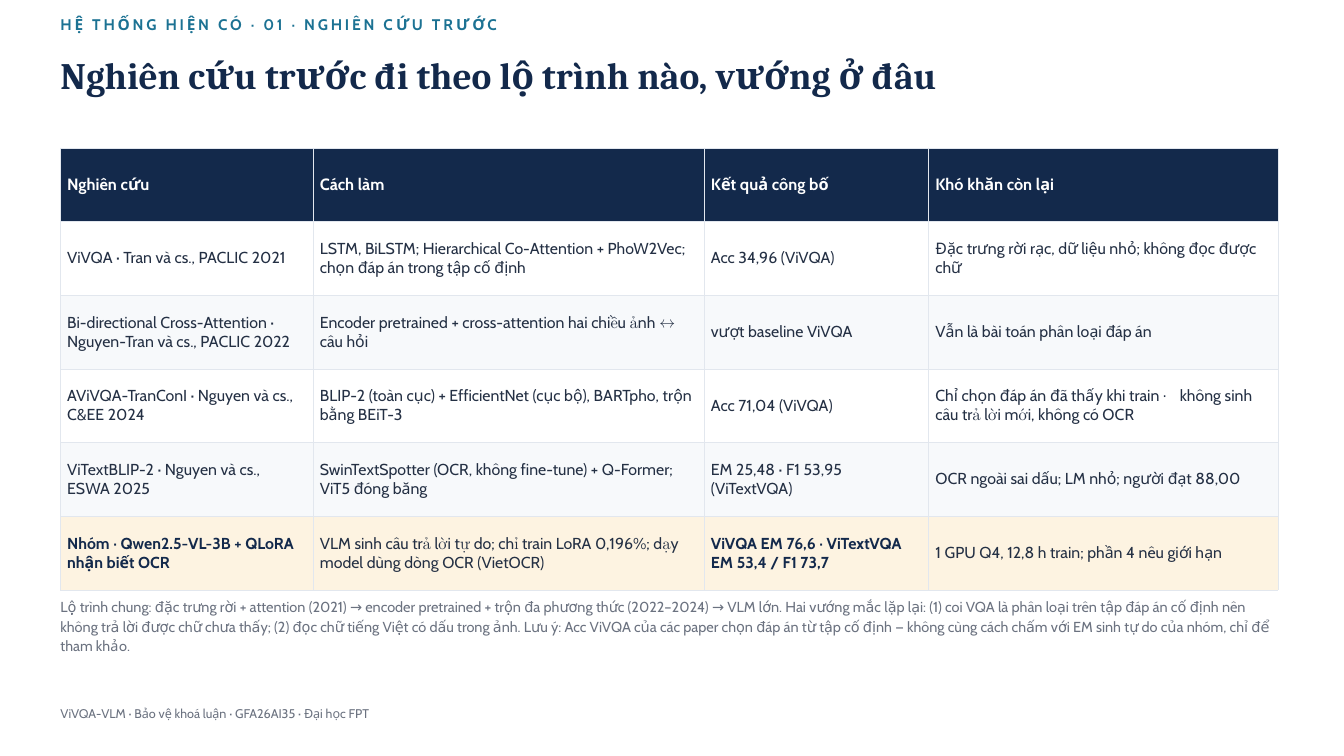
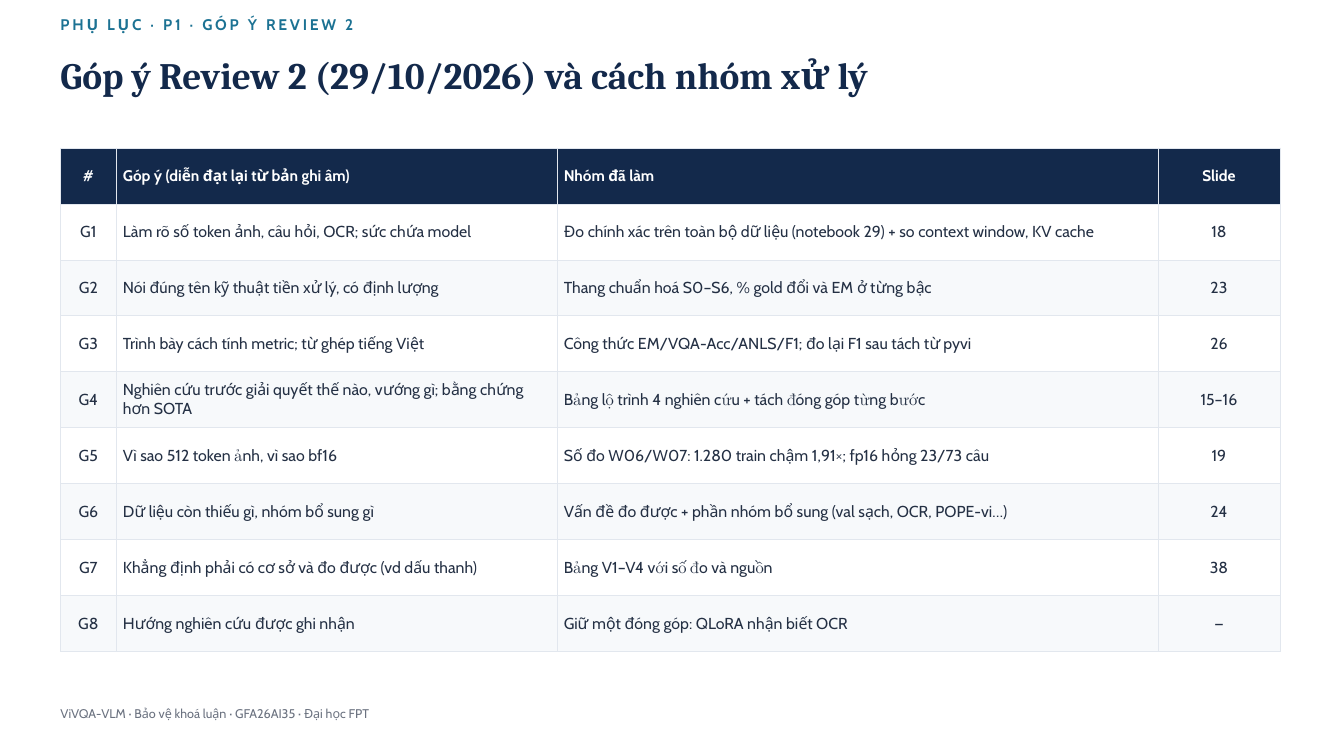
"""Builds two thesis-defence slides: prior work, and how the review comments were handled."""
from lxml import etree
from pptx import Presentation
from pptx.dml.color import RGBColor
from pptx.enum.text import MSO_ANCHOR, MSO_AUTO_SIZE, PP_ALIGN
from pptx.oxml.ns import qn
from pptx.util import Inches, Pt

MIDDLE = MSO_ANCHOR.MIDDLE
FIT_SHAPE = MSO_AUTO_SIZE.SHAPE_TO_FIT_TEXT
LEFT, CENTER = PP_ALIGN.LEFT, PP_ALIGN.CENTER

COLORS = {
    "navy": "13294B", "teal": "1C7293", "ink": "243044", "gray": "6B7280",
    "white": "FFFFFF", "stripe": "F7F9FB", "highlight": "FDF3E1", "border": "E2E7EE",
}
BODY_FONT, TITLE_FONT = "Cabin", "Cambria"
MARGIN, CONTENT_WIDTH, TABLE_TOP = 0.9, 18.2, 2.2
FOOTER = "ViVQA-VLM · Bảo vệ khoá luận · GFA26AI35 · Đại học FPT"

slides = [
    {
        "kicker": "HỆ THỐNG HIỆN CÓ · 01 · NGHIÊN CỨU TRƯỚC",
        "title": "Nghiên cứu trước đi theo lộ trình nào, vướng ở đâu",
        "columns": [3.76, 5.82, 3.34, 5.2],
        "height": 6.58,
        "header_size": 17.5,
        "header_spacing": 21,
        "centered": [],
        "highlight_row": 5,
        "bold_columns": [0, 2],
        "rows": [
            ["Nghiên cứu", "Cách làm", "Kết quả công bố", "Khó khăn còn lại"],
            ["ViVQA · Tran và cs., PACLIC 2021",
             "LSTM, BiLSTM; Hierarchical Co-Attention + PhoW2Vec; chọn đáp án trong tập cố định",
             "Acc 34,96 (ViVQA)",
             "Đặc trưng rời rạc, dữ liệu nhỏ; không đọc được chữ"],
            ["Bi-directional Cross-Attention · Nguyen-Tran và cs., PACLIC 2022",
             "Encoder pretrained + cross-attention hai chiều ảnh ↔ câu hỏi",
             "vượt baseline ViVQA",
             "Vẫn là bài toán phân loại đáp án"],
            ["AViVQA-TranConI · Nguyen và cs., C&EE 2024",
             "BLIP-2 (toàn cục) + EfficientNet (cục bộ), BARTpho, trộn bằng BEiT-3",
             "Acc 71,04 (ViVQA)",
             "Chỉ chọn đáp án đã thấy khi train → không sinh câu trả lời mới, không có OCR"],
            ["ViTextBLIP-2 · Nguyen và cs., ESWA 2025",
             "SwinTextSpotter (OCR, không fine-tune) + Q-Former; ViT5 đóng băng",
             "EM 25,48 · F1 53,95 (ViTextVQA)",
             "OCR ngoài sai dấu; LM nhỏ; người đạt 88,00"],
            ["Nhóm · Qwen2.5-VL-3B + QLoRA nhận biết OCR",
             "VLM sinh câu trả lời tự do; chỉ train LoRA 0,196%; dạy model dùng dòng OCR (VietOCR)",
             "ViVQA EM 76,6 · ViTextVQA EM 53,4 / F1 73,7",
             "1 GPU Q4, 12,8 h train; phần 4 nêu giới hạn"],
        ],
        "note": "Lộ trình chung: đặc trưng rời + attention (2021) → encoder pretrained + trộn đa "
                "phương thức (2022–2024) → VLM lớn. Hai vướng mắc lặp lại: (1) coi VQA là phân loại "
                "trên tập đáp án cố định nên không trả lời được chữ chưa thấy; (2) đọc chữ tiếng Việt "
                "có dấu trong ảnh. Lưu ý: Acc ViVQA của các paper chọn đáp án từ tập cố định — không "
                "cùng cách chấm với EM sinh tự do của nhóm, chỉ để tham khảo.",
    },
    {
        "kicker": "PHỤ LỤC · P1 · GÓP Ý REVIEW 2",
        "title": "Góp ý Review 2 (29/10/2026) và cách nhóm xử lý",
        "columns": [0.83, 6.56, 8.94, 1.82],
        "height": 7.5,
        "header_size": 16.5,
        "header_spacing": 19.8,
        "centered": [0, 3],
        "highlight_row": None,
        "bold_columns": [],
        "rows": [
            ["#", "Góp ý (diễn đạt lại từ bản ghi âm)", "Nhóm đã làm", "Slide"],
            ["G1", "Làm rõ số token ảnh, câu hỏi, OCR; sức chứa model",
             "Đo chính xác trên toàn bộ dữ liệu (notebook 29) + so context window, KV cache", "18"],
            ["G2", "Nói đúng tên kỹ thuật tiền xử lý, có định lượng",
             "Thang chuẩn hoá S0–S6, % gold đổi và EM ở từng bậc", "23"],
            ["G3", "Trình bày cách tính metric; từ ghép tiếng Việt",
             "Công thức EM/VQA-Acc/ANLS/F1; đo lại F1 sau tách từ pyvi", "26"],
            ["G4", "Nghiên cứu trước giải quyết thế nào, vướng gì; bằng chứng hơn SOTA",
             "Bảng lộ trình 4 nghiên cứu + tách đóng góp từng bước", "15–16"],
            ["G5", "Vì sao 512 token ảnh, vì sao bf16",
             "Số đo W06/W07: 1.280 train chậm 1,91×; fp16 hỏng 23/73 câu", "19"],
            ["G6", "Dữ liệu còn thiếu gì, nhóm bổ sung gì",
             "Vấn đề đo được + phần nhóm bổ sung (val sạch, OCR, POPE-vi…)", "24"],
            ["G7", "Khẳng định phải có cơ sở và đo được (vd dấu thanh)",
             "Bảng V1–V4 với số đo và nguồn", "38"],
            ["G8", "Hướng nghiên cứu được ghi nhận",
             "Giữ một đóng góp: QLoRA nhận biết OCR", "—"],
        ],
        "note": None,
    },
]


def write_text(frame, text, size, spacing, color, bold=False, font=BODY_FONT):
    """Fill a text frame with one styled paragraph and return that paragraph."""
    frame.text = text
    frame.word_wrap = True
    para = frame.paragraphs[0]
    para.line_spacing = Pt(spacing)
    span = para.runs[0]
    span.font.name = font
    span.font.size = Pt(size)
    span.font.bold = bold
    span.font.color.rgb = RGBColor.from_string(COLORS[color])
    return para


def add_label(page, top, width, height, text, *style, **options):
    """Add a text box without insets at the left margin and return its paragraph."""
    box = page.shapes.add_textbox(Inches(MARGIN), Inches(top), Inches(width), Inches(height))
    frame = box.text_frame
    frame.margin_left = frame.margin_right = frame.margin_top = frame.margin_bottom = 0
    para = write_text(frame, text, *style, **options)
    frame.auto_size = FIT_SHAPE
    return para


deck = Presentation()
deck.slide_width, deck.slide_height = Inches(20), Inches(11.25)

for content in slides:
    page = deck.slides.add_slide(deck.slide_layouts[6])
    page.background.fill.solid()
    page.background.fill.fore_color.rgb = RGBColor.from_string(COLORS["white"])

    kicker = add_label(page, 0.23, CONTENT_WIDTH, 0.7, content["kicker"], 16.5, 19.8, "teal", bold=True)
    kicker.runs[0].font._element.set("spc", "300")
    add_label(page, 0.64, CONTENT_WIDTH, 1.34, content["title"], 40, 57.6, "navy", bold=True, font=TITLE_FONT)

    rows, columns = content["rows"], content["columns"]
    table = page.shapes.add_table(
        len(rows), len(columns), Inches(MARGIN), Inches(TABLE_TOP),
        Inches(sum(columns)), Inches(content["height"])).table
    for column, width in zip(table.columns, columns):
        column.width = Inches(width)

    for row_index, row in enumerate(rows):
        table.rows[row_index].height = Inches(content["height"] / len(rows))
        highlighted = row_index == content["highlight_row"]
        if row_index == 0:
            fill = "navy"
        elif highlighted:
            fill = "highlight"
        else:
            fill = "white" if row_index % 2 else "stripe"

        for column_index, text in enumerate(row):
            cell = table.cell(row_index, column_index)
            cell.vertical_anchor = MIDDLE
            cell.margin_left = cell.margin_right = cell.margin_top = cell.margin_bottom = Inches(0.1)
            if row_index == 0:
                style = (content["header_size"], content["header_spacing"], "white", True)
            elif highlighted and column_index in content["bold_columns"]:
                style = (17, 20.4, "navy", True)
            else:
                style = (17, 20.4, "ink", False)
            para = write_text(cell.text_frame, text, *style)
            para.alignment = CENTER if column_index in content["centered"] else LEFT

            properties = cell._tc.get_or_add_tcPr()
            for side in ("a:lnL", "a:lnR", "a:lnT", "a:lnB"):
                line = etree.SubElement(properties, qn(side), w=str(Pt(0.75)))
                solid = etree.SubElement(line, qn("a:solidFill"))
                etree.SubElement(solid, qn("a:srgbClr"), val=COLORS["border"])
            cell.fill.solid()
            cell.fill.fore_color.rgb = RGBColor.from_string(COLORS[fill])

    if content["note"]:
        add_label(page, 8.87, CONTENT_WIDTH, 1.28, content["note"], 15.5, 20.8, "gray")
    add_label(page, 10.48, 15, 0.5, FOOTER, 13.5, 18.1, "gray")

deck.save("out.pptx")
